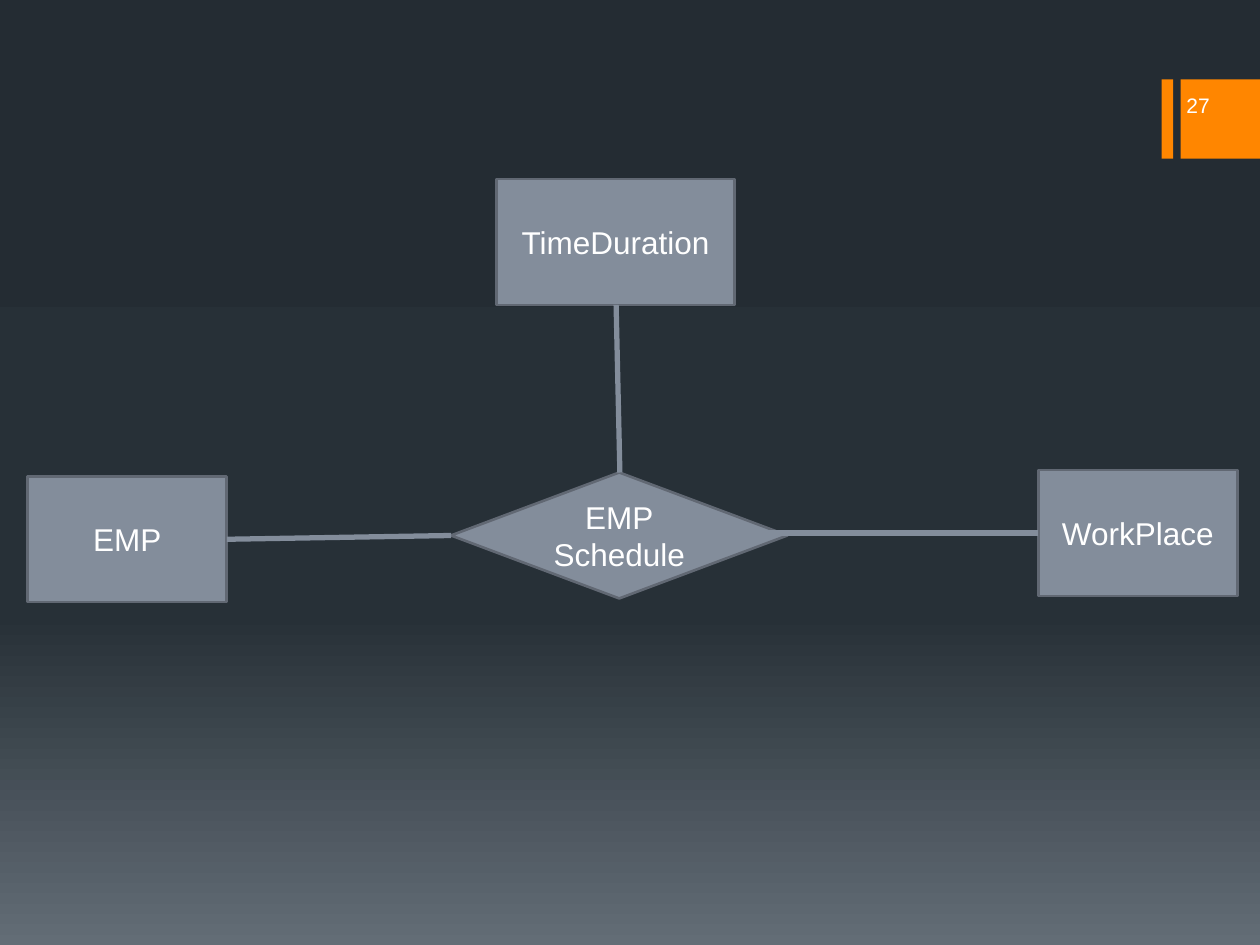
from copy import deepcopy

from lxml import etree
from pptx import Presentation
from pptx.dml.color import RGBColor
from pptx.enum import shapes, text
from pptx.oxml.ns import qn
from pptx.util import Inches, Pt

SKY = [(0, RGBColor(0x24, 0x2C, 0x33)),
       (0.65, RGBColor(0x27, 0x30, 0x37)),
       (1, RGBColor(0x63, 0x6D, 0x76))]
ORANGE = RGBColor(0xFF, 0x86, 0x00)
SLATE = RGBColor(0x83, 0x8D, 0x9B)
OUTLINE = RGBColor(0x61, 0x68, 0x73)
WHITE = RGBColor(0xFF, 0xFF, 0xFF)

RECTANGLE = shapes.MSO_SHAPE.RECTANGLE
DIAMOND = shapes.MSO_SHAPE.DIAMOND
NODE_HEIGHT = 1


def paint_background(page):
    fill = page.background.fill
    fill.gradient()
    fill.gradient_angle = 270
    stop_list = page.element.find(".//" + qn("a:gsLst"))
    stop_list.append(deepcopy(stop_list[-1]))
    for stop, (position, color) in zip(fill.gradient_stops, SKY):
        stop.position = position
        stop.color.rgb = color


def write_lines(box, lines, size, align):
    frame = box.text_frame
    frame.word_wrap = True
    frame.vertical_anchor = text.MSO_ANCHOR.MIDDLE
    frame.text = "\n".join(lines)
    for para in frame.paragraphs:
        para.alignment = align
        for name, value in {"name": "Arial", "size": Pt(size)}.items():
            setattr(para.font, name, value)
        para.font.color.rgb = WHITE


def add_solid(page, kind, left, top, width, height, color):
    """Add a filled shape with neither outline nor shadow."""
    shape = page.shapes.add_shape(
        kind, Inches(left), Inches(top), Inches(width), Inches(height))
    shape.shadow.inherit = False
    shape.fill.solid()
    shape.fill.fore_color.rgb = color
    shape.line.fill.background()
    return shape


def add_page_badge(page, left, top, size, number):
    add_solid(page, RECTANGLE, left, top, 0.09, size, ORANGE)
    add_solid(page, RECTANGLE, left + 0.15, top, size, size, ORANGE)
    label = page.shapes.add_textbox(
        Inches(left - 0.55), Inches(top + 0.04), Inches(1.03), Inches(0.33))
    write_lines(label, [number], 12, text.PP_ALIGN.RIGHT)


def add_node(page, kind, left, top, width, lines):
    node = add_solid(page, kind, left, top, width, NODE_HEIGHT, SLATE)
    node.line.color.rgb = OUTLINE
    node.line.width = Pt(1.5)
    write_lines(node, lines, 18, text.PP_ALIGN.CENTER)


def add_link(page, start, end):
    link = page.shapes.add_connector(
        shapes.MSO_CONNECTOR.STRAIGHT, *map(Inches, start + end))
    link.line.color.rgb = SLATE
    link.line.width = Pt(3)
    etree.SubElement(link.element.spPr, qn("a:effectLst"))


def add_schedule_diagram(page, left, top):
    """Draw the schedule relationship and its three entities."""
    def at(x, y):
        return left + x, top + y

    add_node(page, RECTANGLE, *at(0, 2.36), 1.58, ["EMP"])
    add_node(page, RECTANGLE, *at(8.02, 2.31), 1.58, ["WorkPlace"])
    add_node(page, DIAMOND, *at(3.36, 2.33), 2.67, ["EMP", "Schedule"])
    add_node(page, RECTANGLE, *at(3.72, 0), 1.89, ["TimeDuration"])
    add_link(page, at(3.36, 2.83), at(1.58, 2.86))
    add_link(page, at(5.75, 2.81), at(8.02, 2.81))
    add_link(page, at(4.7, 2.33), at(4.67, NODE_HEIGHT))


def main():
    deck = Presentation()
    deck.slide_width, deck.slide_height = Inches(10), Inches(7.5)
    page = deck.slides.add_slide(deck.slide_layouts[6])
    paint_background(page)
    add_page_badge(page, 9.22, 0.63, 0.63, "27")
    add_schedule_diagram(page, 0.22, 1.42)
    deck.save("out.pptx")


if __name__ == "__main__":
    main()
